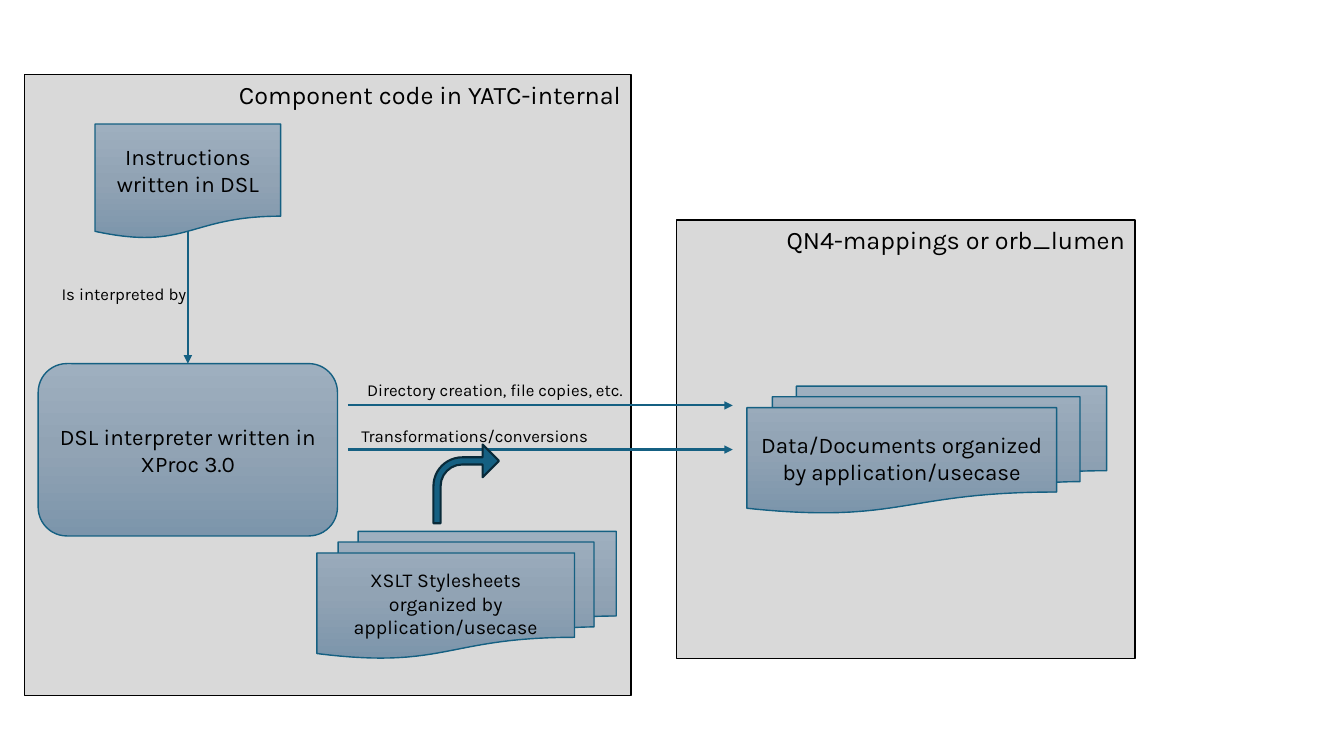
from copy import deepcopy

from lxml import etree
from pptx import Presentation
from pptx.dml.color import RGBColor
from pptx.enum.shapes import MSO_CONNECTOR, MSO_SHAPE
from pptx.enum.text import MSO_ANCHOR, PP_ALIGN
from pptx.oxml.ns import qn
from pptx.util import Pt

RECTANGLE = MSO_SHAPE.RECTANGLE
ROUNDED = MSO_SHAPE.ROUNDED_RECTANGLE
DOCUMENT = MSO_SHAPE.FLOWCHART_DOCUMENT
MULTIDOCUMENT = MSO_SHAPE.FLOWCHART_MULTIDOCUMENT
BENT_ARROW = MSO_SHAPE.BENT_ARROW
STRAIGHT = MSO_CONNECTOR.STRAIGHT
LEFT, CENTER, RIGHT = PP_ALIGN.LEFT, PP_ALIGN.CENTER, PP_ALIGN.RIGHT
TOP, MIDDLE = MSO_ANCHOR.TOP, MSO_ANCHOR.MIDDLE

FONT = "Karla"
COLORS = {
    "text": "000000",
    "panel": "D9D9D9",
    "panel_line": "000000",
    "accent": "156082",
    "accent_dark": "092A39",
}
NODE_GRADIENT = [(0, "9EAFBF"), (0.5, "91A3B4"), (1, "7C95AB")]


def rgb(name):
    return RGBColor.from_string(COLORS[name])


def write(shape, text, size, align, anchor):
    frame = shape.text_frame
    frame.word_wrap = True
    frame.vertical_anchor = anchor
    paragraph = frame.paragraphs[0]
    paragraph.alignment = align
    run = paragraph.add_run()
    run.text = text
    run.font.name = FONT
    run.font.size = Pt(size)
    run.font.color.rgb = rgb("text")


def add_outlined(slide, kind, box, line, width):
    shape = slide.shapes.add_shape(kind, *map(Pt, box))
    shape.shadow.inherit = False
    shape.line.color.rgb = rgb(line)
    shape.line.width = Pt(width)
    return shape


def add_panel(slide, box, heading):
    panel = add_outlined(slide, RECTANGLE, box, "panel_line", 1)
    panel.fill.solid()
    panel.fill.fore_color.rgb = rgb("panel")
    write(panel, heading, 18, RIGHT, TOP)


def fill_with_gradient(shape):
    fill = shape.fill
    fill.gradient()
    fill.gradient_angle = 270
    stop_list = shape._element.spPr.find(qn("a:gradFill")).find(qn("a:gsLst"))
    stop_list.append(deepcopy(stop_list[0]))
    for stop, (position, color) in zip(fill.gradient_stops, NODE_GRADIENT):
        stop.position = position
        stop.color.rgb = RGBColor.from_string(color)


def add_node(slide, kind, box, text, size=16):
    node = add_outlined(slide, kind, box, "accent", 1)
    fill_with_gradient(node)
    write(node, text, size, CENTER, MIDDLE)
    return node


def add_arrow(slide, start, end):
    arrow = slide.shapes.add_connector(STRAIGHT, *map(Pt, start + end))
    arrow.line.color.rgb = rgb("accent")
    arrow.line.width = Pt(1.5)
    line = arrow.line._get_or_add_ln()
    etree.SubElement(line, qn("a:tailEnd"), type="triangle")
    etree.SubElement(arrow._element.spPr, qn("a:effectLst"))
    return arrow


def add_label(slide, left, top, width, text):
    label = slide.shapes.add_textbox(Pt(left), Pt(top), Pt(width), Pt(21.8))
    write(label, text, 12, LEFT, TOP)


def add_bent_arrow(slide, box):
    bent = add_outlined(slide, BENT_ARROW, box, "accent_dark", 1.5)
    bent.fill.solid()
    bent.fill.fore_color.rgb = rgb("accent")
    for index, value in enumerate((0.11, 0.25, 0.25, 0.44)):
        bent.adjustments[index] = value


def main():
    deck = Presentation()
    deck.slide_width, deck.slide_height = Pt(960), Pt(540)
    slide = deck.slides.add_slide(deck.slide_layouts[6])

    add_panel(slide, (17.3, 53.3, 433.4, 443.5), "Component code in YATC-internal")
    add_panel(slide, (483.1, 157, 327.6, 313.2), "QN4-mappings or orb_lumen")

    add_node(slide, DOCUMENT, (67.9, 88.6, 132.6, 82.1),
             "Instructions written in DSL")
    interpreter = add_node(slide, ROUNDED, (27.3, 259.7, 213.8, 123.1),
                           "DSL interpreter written in XProc 3.0")
    interpretation = add_arrow(slide, (134.2, 165), (134.2, 259.7))
    interpretation.end_connect(interpreter, 0)
    add_label(slide, 36.9, 199.2, 105.1, "Is interpreted by")

    add_node(slide, MULTIDOCUMENT, (533.5, 275.8, 257, 90.7),
             "Data/Documents organized by application/usecase")
    for y in (289.6, 321.1):
        add_arrow(slide, (248.4, y), (523.4, y))
    add_label(slide, 255.1, 267.6, 213.8, "Directory creation, file copies, etc.")

    add_node(slide, MULTIDOCUMENT, (226.4, 379.6, 213.8, 90.7),
             "XSLT Stylesheets organized by application/usecase", 14)
    add_bent_arrow(slide, (309.6, 317.5, 46.8, 56.2))
    add_label(slide, 251.1, 300.5, 213.8, "Transformations/conversions")

    deck.save("out.pptx")


if __name__ == "__main__":
    main()
